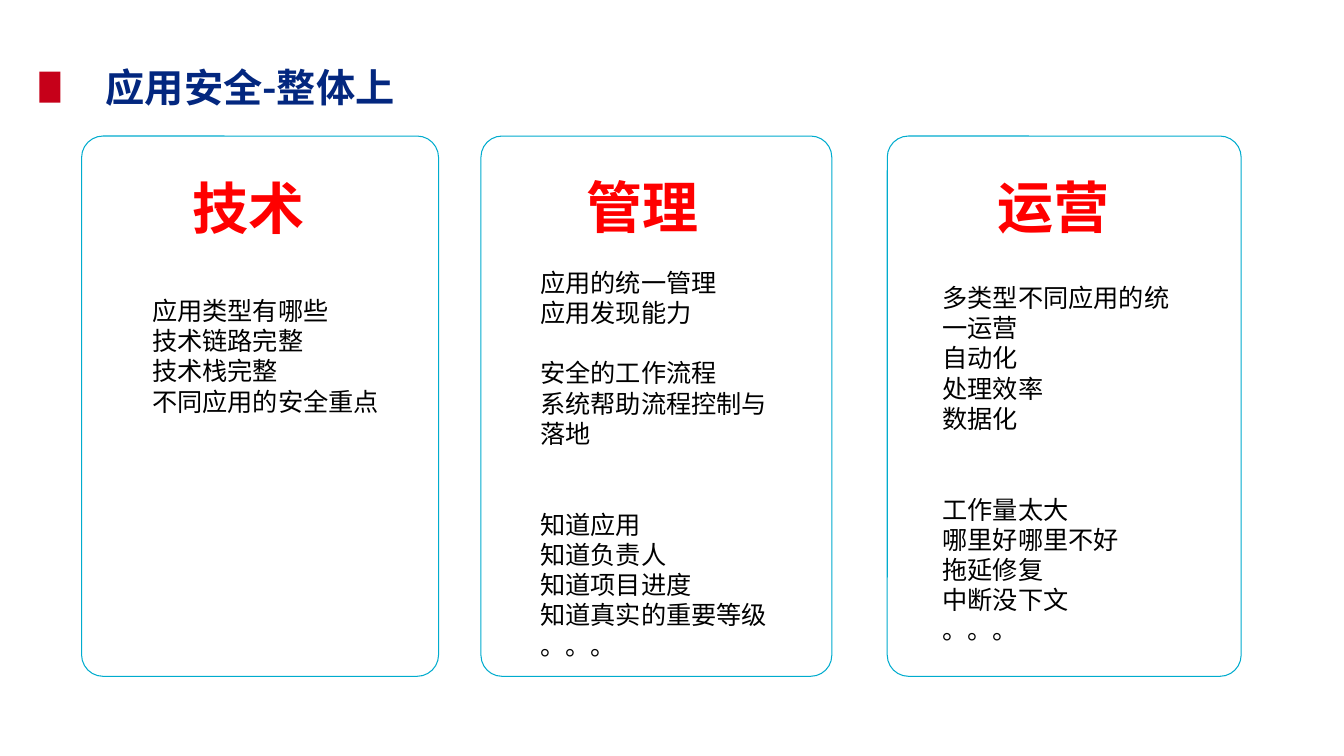
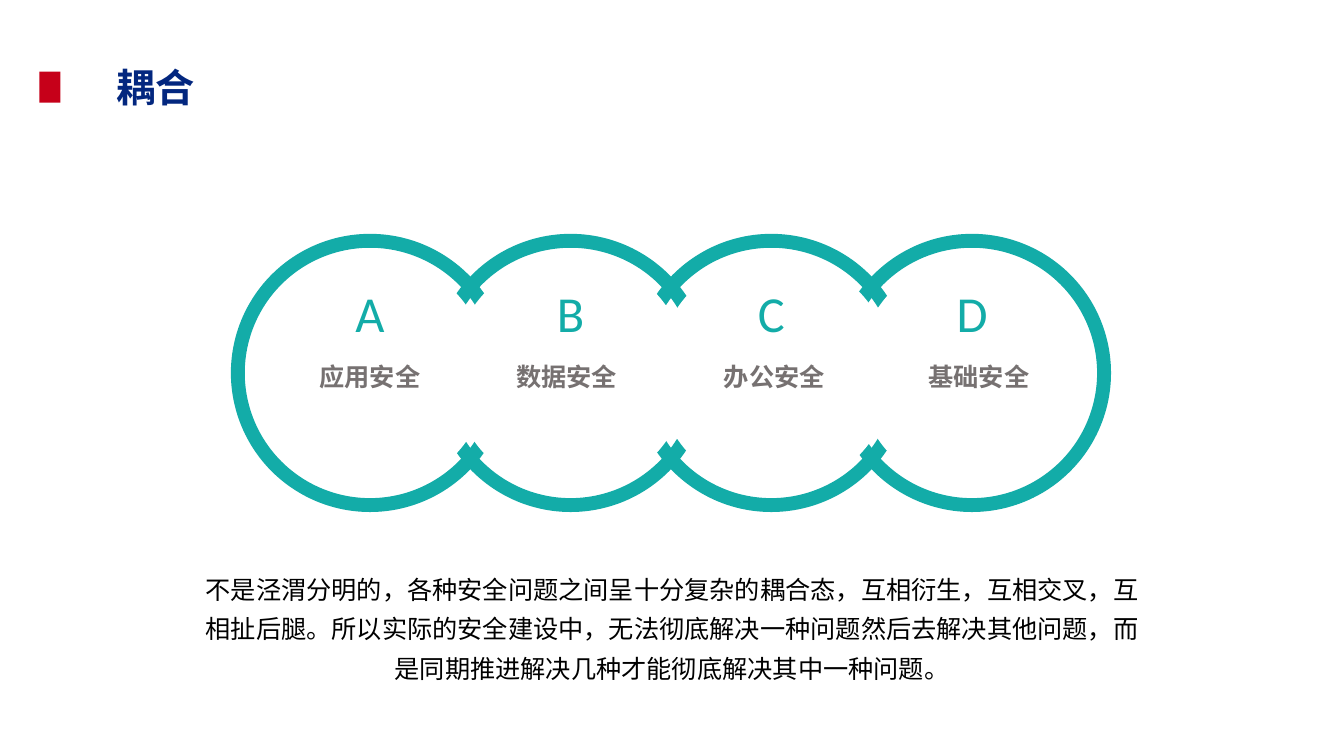
from dataclasses import dataclass

from pptx import Presentation
from pptx.dml.color import RGBColor
from pptx.enum.shapes import MSO_SHAPE
from pptx.enum.text import MSO_ANCHOR, PP_ALIGN
from pptx.util import Inches, Pt

COLORS = {
    "navy": "03277F",
    "crimson": "C60019",
    "red": "FF0000",
    "cyan": "00ACCE",
    "teal": "13ACA8",
    "gray": "767171",
    "black": "000000",
    "white": "FFFFFF",
}
HEADING_FONT = "Noto Sans CJK SC"
BODY_FONT = "Calibri"
BODY_SIZE = 18
BODY_LINE = 21.6

CARD_TOP, CARD_HEIGHT = 1.35, 5.36
RING_LEFT, RING_TOP, RING_SIZE = 2.29, 2.32, 2.76
RING_PITCH = 1.99
COVER_TOP, COVER_SIZE = 2.54, 2.33


@dataclass(frozen=True)
class TextStyle:
    size: int
    color: str
    font: str = BODY_FONT
    bold: bool = False
    align: PP_ALIGN = PP_ALIGN.LEFT
    line_spacing: float = 1.0


@dataclass(frozen=True)
class Box:
    left: float
    top: float
    width: float
    height: float

    def lengths(self):
        return (Inches(self.left), Inches(self.top), Inches(self.width), Inches(self.height))


@dataclass(frozen=True)
class Card:
    left: float
    width: float
    heading: str
    heading_left: float
    heading_top: float
    body: Box
    groups: tuple[tuple[int, tuple[str, ...]], ...]  # blank lines above, then the lines


@dataclass(frozen=True)
class Ring:
    letter: str
    label: str
    cover_left: float
    label_left: float


TITLE = TextStyle(28, "navy", HEADING_FONT, True, PP_ALIGN.CENTER)
CARD_HEADING = TextStyle(40, "red", HEADING_FONT, True)
BODY = TextStyle(BODY_SIZE, "black")
RING_LETTER = TextStyle(36, "teal", align=PP_ALIGN.CENTER)
RING_LABEL = TextStyle(BODY_SIZE, "gray", bold=True, align=PP_ALIGN.CENTER)
SUMMARY = TextStyle(BODY_SIZE, "black", align=PP_ALIGN.CENTER, line_spacing=1.3)

CARDS = (
    Card(0.81, 3.54, "技术", 1.81, 1.67, Box(1.41, 2.88, 2.64, 2.22), (
        (0, ("应用类型有哪些", "技术链路完整", "技术栈完整", "不同应用的安全重点")),
    )),
    Card(4.77, 3.48, "管理", 5.72, 1.66, Box(5.26, 2.6, 2.64, 4.64), (
        (0, ("应用的统一管理", "应用发现能力")),
        (1, ("安全的工作流程", "系统帮助流程控制与落地")),
        (2, ("知道应用", "知道负责人", "知道项目进度", "知道真实的重要等级", "。。。")),
    )),
    Card(8.8, 3.51, "运营", 9.8, 1.66, Box(9.25, 2.75, 2.64, 4.34), (
        (0, ("多类型不同应用的统一运营", "自动化", "处理效率", "数据化")),
        (2, ("工作量太大", "哪里好哪里不好", "拖延修复", "中断没下文", "。。。")),
    )),
)
RINGS = (
    Ring("A", "应用安全", 2.51, 3.07),
    Ring("B", "数据安全", 4.49, 5.02),
    Ring("C", "办公安全", 6.52, 7.08),
    Ring("D", "基础安全", 8.51, 9.11),
)
SUMMARY_TEXT = (
    "不是泾渭分明的，各种安全问题之间呈十分复杂的耦合态，互相衍生，互相交叉，"
    "互相扯后腿。所以实际的安全建设中，无法彻底解决一种问题然后去解决其他问题，"
    "而是同期推进解决几种才能彻底解决其中一种问题。"
)


def color(name: str) -> RGBColor:
    return RGBColor.from_string(COLORS[name])


def add_text(slide, box: Box, lines: tuple[str, ...], style: TextStyle,
             wrap: bool = True, anchor: MSO_ANCHOR = MSO_ANCHOR.TOP):
    frame = slide.shapes.add_textbox(*box.lengths()).text_frame
    frame.word_wrap = wrap
    frame.vertical_anchor = anchor
    frame.text = "\n".join(lines)
    for paragraph in frame.paragraphs:
        paragraph.alignment = style.align
        paragraph.line_spacing = style.line_spacing
        paragraph.font.name = style.font
        paragraph.font.size = Pt(style.size)
        paragraph.font.bold = style.bold
        paragraph.font.color.rgb = color(style.color)
    return frame


def add_shape(slide, kind: MSO_SHAPE, box: Box, fill: str | None = None,
              line: str | None = None, adjustment: float | None = None) -> None:
    shape = slide.shapes.add_shape(kind, *box.lengths())
    shape.shadow.inherit = False
    if fill:
        shape.fill.solid()
        shape.fill.fore_color.rgb = color(fill)
    else:
        shape.fill.background()
    if line:
        shape.line.color.rgb = color(line)
        shape.line.width = Pt(0.75)
    else:
        shape.line.fill.background()
    if adjustment is not None:
        shape.adjustments[0] = adjustment


def add_titled_slide(presentation, title: str, title_width: float):
    slide = presentation.slides.add_slide(presentation.slide_layouts[6])
    add_text(slide, Box(0.59, 0.58, title_width, 0.57), (title,), TITLE)
    add_shape(slide, MSO_SHAPE.RECTANGLE, Box(0.39, 0.71, 0.21, 0.31), "crimson")
    return slide


def add_card(slide, card: Card) -> None:
    add_shape(slide, MSO_SHAPE.ROUNDED_RECTANGLE,
              Box(card.left, CARD_TOP, card.width, CARD_HEIGHT),
              line="cyan", adjustment=0.06)
    add_text(slide, Box(card.heading_left, card.heading_top, 1.54, 0.77),
             (card.heading,), CARD_HEADING)
    lines = tuple(line for _, group in card.groups for line in group)
    frame = add_text(slide, card.body, lines, BODY)
    first = 0
    for blank_lines, group in card.groups:
        frame.paragraphs[first].space_before = Pt(BODY_LINE * blank_lines)
        first += len(group)


def add_ring_chain(slide) -> None:
    """Draw all rings first, so that the white covers open the chain between them."""
    ring_lefts = [RING_LEFT + RING_PITCH * index for index in range(len(RINGS))]
    for left in ring_lefts:
        add_shape(slide, MSO_SHAPE.DONUT, Box(left, RING_TOP, RING_SIZE, RING_SIZE),
                  "teal", adjustment=0.05)
    for ring in RINGS:
        add_shape(slide, MSO_SHAPE.OVAL,
                  Box(ring.cover_left, COVER_TOP, COVER_SIZE, COVER_SIZE), "white")
    for left, ring in zip(ring_lefts, RINGS):
        letter_left = left + (RING_SIZE - 0.5) / 2
        add_text(slide, Box(letter_left, 2.74, 0.5, 0.71), (ring.letter,), RING_LETTER,
                 wrap=False, anchor=MSO_ANCHOR.MIDDLE)
        add_text(slide, Box(ring.label_left, 3.54, 1.2, 0.4), (ring.label,), RING_LABEL,
                 wrap=False)


def main() -> None:
    presentation = Presentation()
    presentation.slide_width = Inches(13.33)
    presentation.slide_height = Inches(7.5)

    overview = add_titled_slide(presentation, "应用安全-整体上", 3.78)
    for card in CARDS:
        add_card(overview, card)

    coupling = add_titled_slide(presentation, "耦合", 1.9)
    add_ring_chain(coupling)
    add_text(coupling, Box(1.91, 5.56, 9.51, 1.28), (SUMMARY_TEXT,), SUMMARY)

    presentation.save("out.pptx")


if __name__ == "__main__":
    main()
